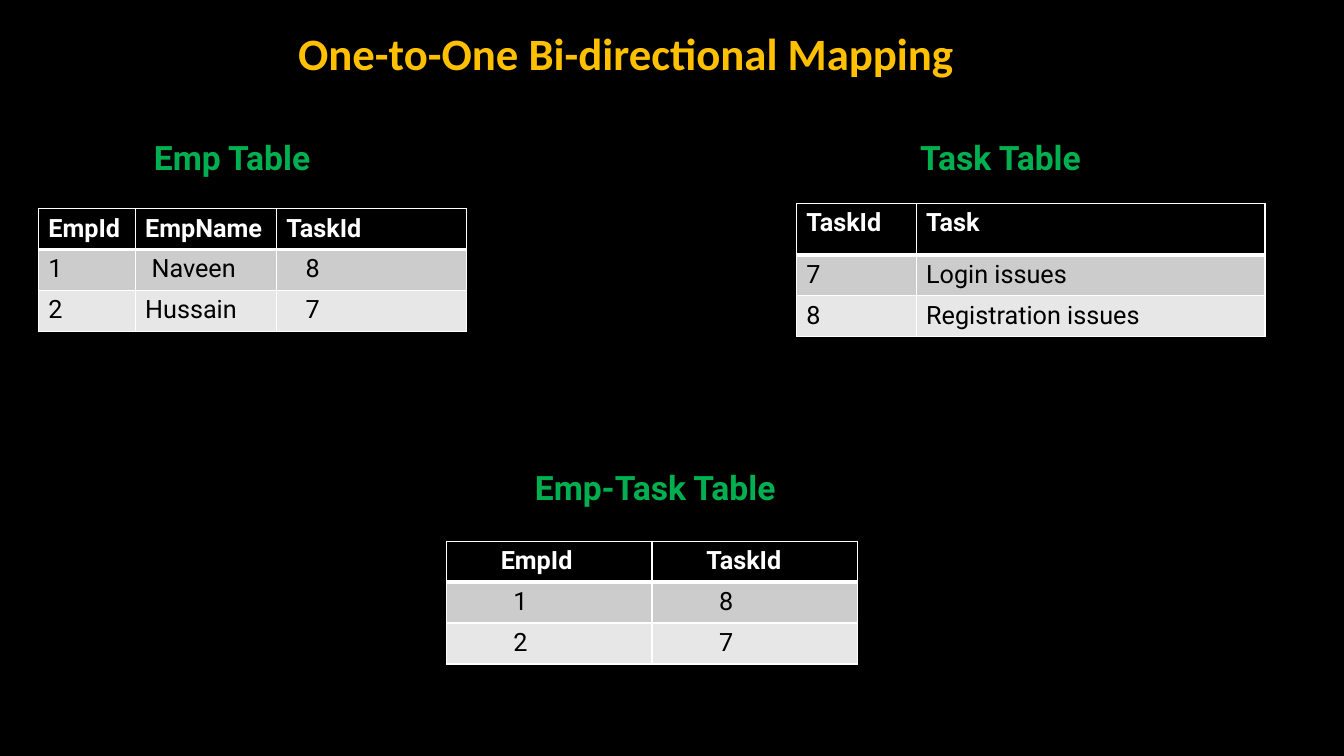
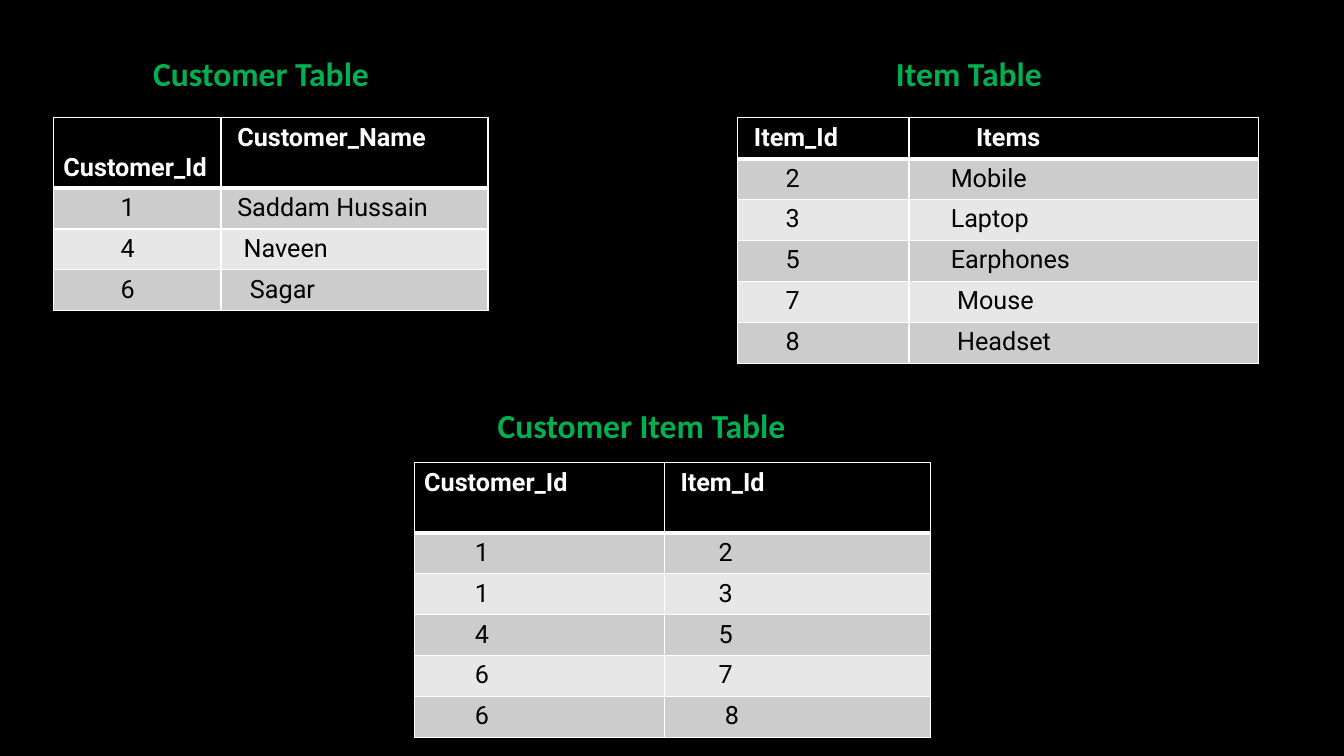
from dataclasses import dataclass

from lxml import etree
from pptx import Presentation
from pptx.dml.color import RGBColor
from pptx.enum.text import MSO_ANCHOR, MSO_AUTO_SIZE, PP_ALIGN
from pptx.oxml.ns import qn
from pptx.util import Cm, Pt

TOP, BOTTOM = MSO_ANCHOR.TOP, MSO_ANCHOR.BOTTOM
LEFT = PP_ALIGN.LEFT
NO_AUTOFIT = MSO_AUTO_SIZE.NONE
TITLE_ONLY, BLANK = 5, 6


@dataclass(frozen=True)
class Theme:
    background: str = "000000"
    title: str = "FFC000"
    caption: str = "00B050"
    header_fill: str = "000000"
    header_text: str = "FFFFFF"
    body_text: str = "000000"
    bands: tuple = ("CCCCCC", "E7E7E7")
    border: str = "FFFFFF"
    thin: float = 1
    thick: float = 3
    heading_font: str = "Calibri"
    table_font: str = "Roboto"
    title_size: int = 32
    caption_size: int = 24
    table_size: int = 18
    row_height: float = 1.03
    cell_margin: float = 0.25
    indent_step: float = 0.16


@dataclass(frozen=True)
class Column:
    width: float
    texts: tuple
    indents: tuple = (0,)
    header_anchor: MSO_ANCHOR = TOP

    def indent(self, row):
        return self.indents[min(row, len(self.indents) - 1)]


THEME = Theme()


def add_span(para, text, font, size, color, bold):
    span = para.add_run()
    span.text = text
    span.font.name = font
    span.font.size = Pt(size)
    span.font.color.rgb = RGBColor.from_string(color)
    span.font.bold = bold


def place(box, left, top, width, height):
    box.left, box.top = Cm(left), Cm(top)
    box.width, box.height = Cm(width), Cm(height)


def add_title(page, text):
    box = page.shapes.title
    place(box, 7.26, 0.51, 19.15, 1.62)
    frame = box.text_frame
    frame.auto_size = NO_AUTOFIT
    frame.vertical_anchor = TOP
    para = frame.paragraphs[0]
    para.alignment = LEFT
    add_span(para, text, THEME.heading_font, THEME.title_size, THEME.title, True)


def add_caption(page, text, left, top, font, width=10):
    box = page.shapes.add_textbox(Cm(left), Cm(top), Cm(width), Cm(1.28))
    box.text_frame.word_wrap = True
    para = box.text_frame.paragraphs[0]
    add_span(para, text, font, THEME.caption_size, THEME.caption, True)


def set_borders(cell, top, bottom):
    properties = cell._tc.get_or_add_tcPr()
    sides = {"L": THEME.thin, "R": THEME.thin, "T": top, "B": bottom}
    for position, (side, width) in enumerate(sides.items()):
        line = etree.Element(qn(f"a:ln{side}"), w=str(Pt(width)))
        fill = etree.SubElement(line, qn("a:solidFill"))
        etree.SubElement(fill, qn("a:srgbClr"), val=THEME.border)
        properties.insert(position, line)


def format_cell(cell, column, row):
    header = row == 0
    fill = THEME.header_fill if header else THEME.bands[(row - 1) % 2]
    color = THEME.header_text if header else THEME.body_text
    cell.fill.solid()
    cell.fill.fore_color.rgb = RGBColor.from_string(fill)
    cell.margin_left = Cm(THEME.cell_margin + column.indent(row) * THEME.indent_step)
    cell.margin_right = 0
    cell.vertical_anchor = column.header_anchor if header else TOP
    set_borders(cell,
                top=THEME.thick if row == 1 else THEME.thin,
                bottom=THEME.thick if header else THEME.thin)
    add_span(cell.text_frame.paragraphs[0], column.texts[row],
             THEME.table_font, THEME.table_size, color, header)


def add_data_table(page, left, top, columns, header_height=THEME.row_height):
    count = len(columns[0].texts)
    heights = [header_height] + [THEME.row_height] * (count - 1)
    width = sum(column.width for column in columns)
    table = page.shapes.add_table(count, len(columns), Cm(left), Cm(top),
                                  Cm(width), Cm(sum(heights))).table
    for row, height in enumerate(heights):
        table.rows[row].height = Cm(height)
    for index, column in enumerate(columns):
        table.columns[index].width = Cm(column.width)
        for row in range(count):
            format_cell(table.cell(row, index), column, row)


def build_employee_page(deck):
    page = deck.slides.add_slide(deck.slide_layouts[TITLE_ONLY])
    add_title(page, "One-to-One Bi-directional Mapping")
    font = THEME.table_font
    add_caption(page, "Emp Table", 3.63, 3.33, font)
    add_data_table(page, 0.97, 5.26, [
        Column(2.44, ("EmpId", "1", "2")),
        Column(3.56, ("EmpName", "Naveen", "Hussain"), (0, 1, 0)),
        Column(4.78, ("TaskId", "8", "7"), (0, 3)),
    ])
    add_caption(page, "Task Table", 22.94, 3.33, font)
    add_data_table(page, 20.07, 5.13, [
        Column(3.02, ("TaskId", "7", "8")),
        Column(8.79, ("Task", "Login issues", "Registration issues")),
    ], header_height=1.29)
    add_caption(page, "Emp-Task Table", 13.23, 11.63, font)
    add_data_table(page, 11.25, 13.64, [
        Column(5.18, ("EmpId", "1", "2"), (7, 9)),
        Column(5.18, ("TaskId", "8", "7"), (7, 9)),
    ])


def build_customer_page(deck):
    page = deck.slides.add_slide(deck.slide_layouts[BLANK])
    font = THEME.heading_font
    tall_header = 1.77
    add_caption(page, "Customer Table", 3.61, 1.22, font)
    add_data_table(page, 1.35, 2.97, [
        Column(4.22, ("Customer_Id", "1", "4", "6"), (0, 9), BOTTOM),
        Column(6.73, ("Customer_Name", "Saddam Hussain", "Naveen", "Sagar"),
               (1, 1, 2, 3)),
    ], tall_header)
    add_caption(page, "Item Table", 22.33, 1.22, font)
    add_data_table(page, 18.59, 2.97, [
        Column(4.32, ("Item_Id", "2", "3", "5", "7", "8"), (1, 6)),
        Column(8.81, ("Items", "Mobile", "Laptop", "Earphones", "Mouse", "Headset"),
               (9, 5, 5, 5, 6)),
    ])
    add_caption(page, "Customer Item Table", 12.29, 10.08, font)
    add_data_table(page, 10.44, 11.66, [
        Column(6.3, ("Customer_Id", "1", "1", "4", "6", "6"), (0, 8)),
        Column(6.71, ("Item_Id", "2", "3", "5", "7", "8"), (1, 7, 7, 7, 7, 8)),
    ], tall_header)


def main():
    deck = Presentation()
    deck.slide_width, deck.slide_height = Cm(33.87), Cm(19.05)
    backdrop = deck.slide_master.background.fill
    backdrop.solid()
    backdrop.fore_color.rgb = RGBColor.from_string(THEME.background)
    build_employee_page(deck)
    build_customer_page(deck)
    deck.save("out.pptx")


if __name__ == "__main__":
    main()
